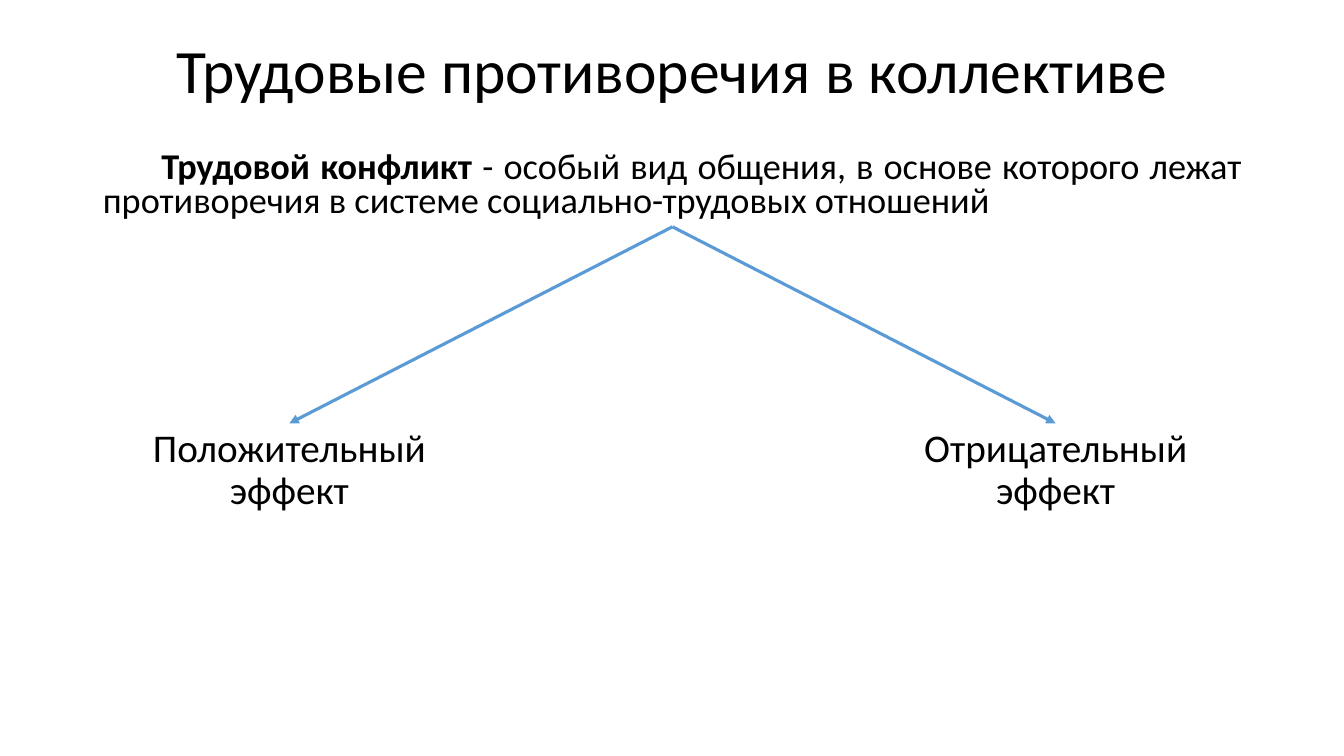
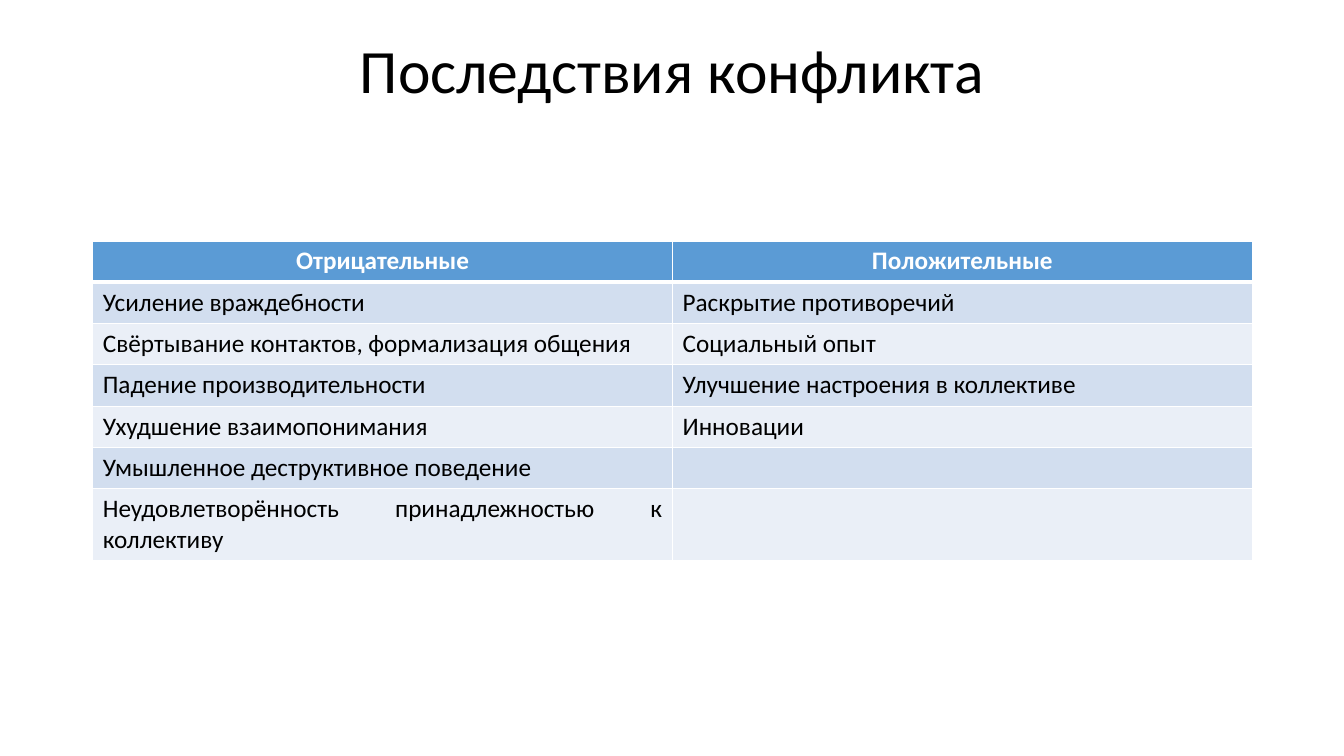
from pptx import Presentation
from pptx.dml.color import RGBColor
from pptx.enum.shapes import MSO_CONNECTOR
from pptx.enum.text import MSO_ANCHOR, MSO_AUTO_SIZE, PP_ALIGN
from pptx.oxml.ns import qn
from pptx.util import Inches, Pt
from lxml.etree import SubElement, Element

# Content
TITLES = ("Трудовые противоречия в коллективе", "Последствия конфликта")
TERM = "Трудовой конфликт"
DEFINITION = (" - особый вид общения, в основе которого лежат "
              "противоречия в системе социально-трудовых отношений")
EFFECTS = ("Положительный эффект", "Отрицательный эффект")
CONSEQUENCES = [
    ("Отрицательные", "Положительные"),
    ("Усиление враждебности", "Раскрытие противоречий"),
    ("Свёртывание контактов, формализация общения", "Социальный опыт"),
    ("Падение производительности", "Улучшение настроения в коллективе"),
    ("Ухудшение взаимопонимания", "Инновации"),
    ("Умышленное деструктивное поведение", ""),
    ("Неудовлетворённость принадлежностью к коллективу", ""),
]

# Shared style
FONT = "Calibri"
BLACK = RGBColor(0x00, 0x00, 0x00)
WHITE = RGBColor(0xFF, 0xFF, 0xFF)
BLUE = RGBColor(0x5B, 0x9B, 0xD5)
BANDS = (RGBColor(0xEA, 0xEF, 0xF7), RGBColor(0xD2, 0xDE, 0xEF))
LEFT, WIDTH = 0.92, 11.5
CENTER = LEFT + WIDTH / 2
TITLE_H, BODY_H = 1.45, 0.8
EFFECT_TOP, EFFECT_W, EFFECT_H = 4.2, 3.9, 2.44
TABLE_TOP, ROW_H = 2.39, 0.41


def write(tf, *texts, size, align, color=BLACK, bold=(), spacing=None, before=0):
    """Write the texts as runs of one paragraph; bold lists the bold run numbers."""
    p = tf.paragraphs[0]
    p.alignment, p.space_before = align, Pt(before)
    if spacing:
        p.line_spacing = spacing
    for i, text in enumerate(texts):
        r = p.add_run()
        r.text = text
        r.font.name, r.font.size, r.font.bold = FONT, Pt(size), i in bold
        r.font.color.rgb = color
    return p


def place(sp, left, top, width, height, anchor=MSO_ANCHOR.TOP):
    sp.left, sp.top, sp.width, sp.height = map(Inches, (left, top, width, height))
    tf = sp.text_frame
    tf.word_wrap, tf.auto_size, tf.vertical_anchor = True, MSO_AUTO_SIZE.NONE, anchor
    return tf


def add_slide(prs, layout, title):
    s = prs.slides.add_slide(prs.slide_layouts[layout])
    tf = place(s.shapes.title, LEFT, 0, WIDTH, TITLE_H, MSO_ANCHOR.MIDDLE)
    write(tf, title, size=44, align=PP_ALIGN.CENTER, spacing=0.9)
    return s


def add_arrow(s, x1, y1, x2, y2):
    line = s.shapes.add_connector(MSO_CONNECTOR.STRAIGHT, *map(Inches, (x1, y1, x2, y2)))
    line.line.color.rgb, line.line.width = BLUE, Pt(2.25)
    SubElement(line.line._get_or_add_ln(), qn("a:tailEnd"), type="triangle")
    SubElement(line._element.spPr, qn("a:effectLst"))


def set_borders(cell, **widths):
    """Draw white borders; L, R, T and B give widths other than 1 pt."""
    tc_pr = cell._tc.get_or_add_tcPr()
    for i, side in enumerate("LRTB"):
        ln = Element(qn("a:ln" + side), w=str(Pt(widths.get(side, 1))))
        fill = SubElement(ln, qn("a:solidFill"))
        SubElement(fill, qn("a:srgbClr"), val=str(WHITE))
        tc_pr.insert(i, ln)


def build_conflict(prs):
    s = add_slide(prs, 1, TITLES[0])

    # Definition
    tf = place(s.placeholders[1], LEFT, TITLE_H, WIDTH, BODY_H)
    p = write(tf, TERM, DEFINITION, size=25.9, align=PP_ALIGN.JUSTIFY,
              bold=(0,), spacing=0.8, before=10)
    p_pr = p._p.get_or_add_pPr()
    p_pr.set("marL", "0")
    p_pr.set("indent", str(Inches(0.58)))
    SubElement(p_pr, qn("a:buNone"))

    # Two effects, each with its arrow
    for i, effect in enumerate(EFFECTS):
        left = LEFT + i * (WIDTH - EFFECT_W)
        sp = s.shapes.add_textbox(0, 0, 0, 0)
        tf = place(sp, left, EFFECT_TOP, EFFECT_W, EFFECT_H)
        write(tf, effect, size=28, align=PP_ALIGN.CENTER, spacing=0.9, before=10)
        add_arrow(s, CENTER, TITLE_H + BODY_H, left + EFFECT_W / 2, EFFECT_TOP)


def build_consequences(prs):
    s = add_slide(prs, 5, TITLES[1])
    rows, cols = len(CONSEQUENCES), len(CONSEQUENCES[0])
    table = s.shapes.add_table(rows, cols, *map(
        Inches, (LEFT, TABLE_TOP, WIDTH, rows * ROW_H))).table
    for i, row in enumerate(CONSEQUENCES):
        header = i == 0
        for j, text in enumerate(row):
            cell = table.cell(i, j)
            cell.fill.solid()
            cell.fill.fore_color.rgb = BLUE if header else BANDS[i % 2]
            set_borders(cell, T=3 if i == 1 else 1, B=3 if header else 1)
            if text:
                write(cell.text_frame, text, size=18,
                      align=PP_ALIGN.CENTER if header else PP_ALIGN.JUSTIFY,
                      color=WHITE if header else BLACK, bold=(0,) if header else ())


def main():
    prs = Presentation()
    prs.slide_width, prs.slide_height = Inches(13.33), Inches(7.5)
    build_conflict(prs)
    build_consequences(prs)
    prs.save("out.pptx")


if __name__ == "__main__":
    main()
